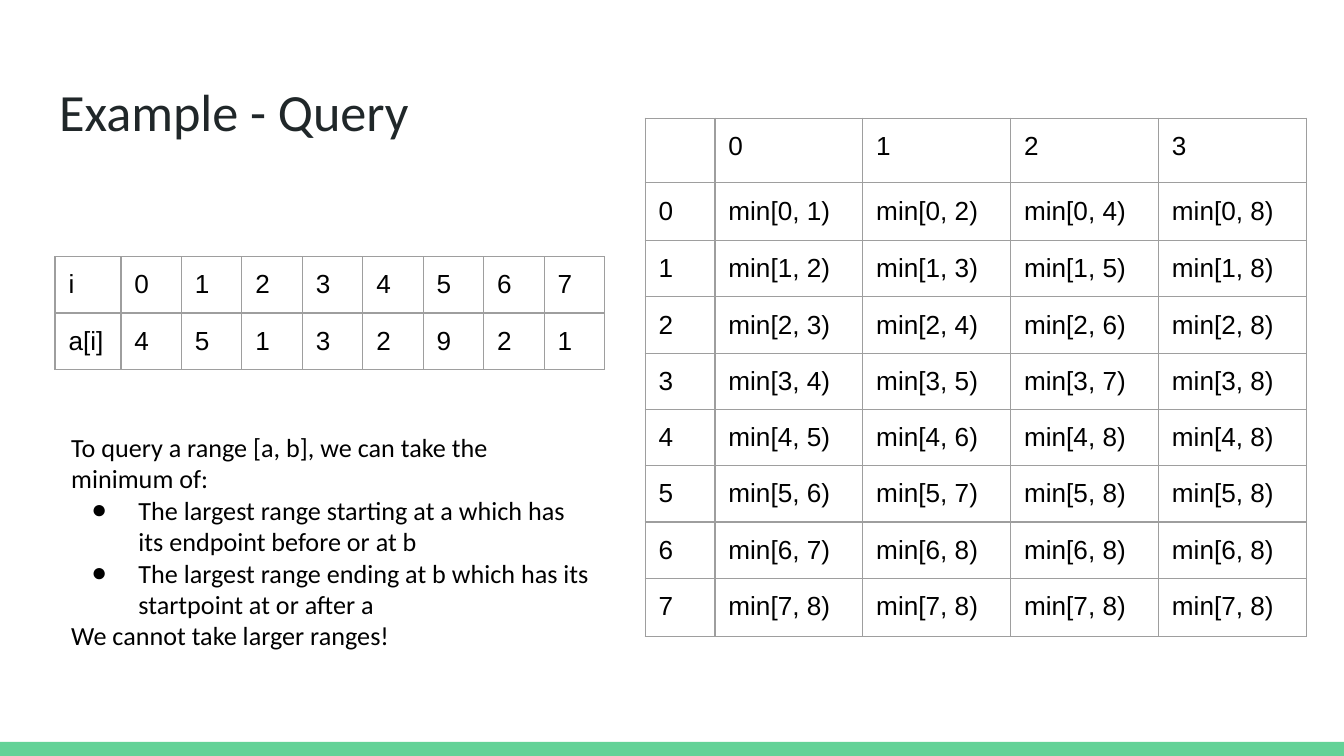
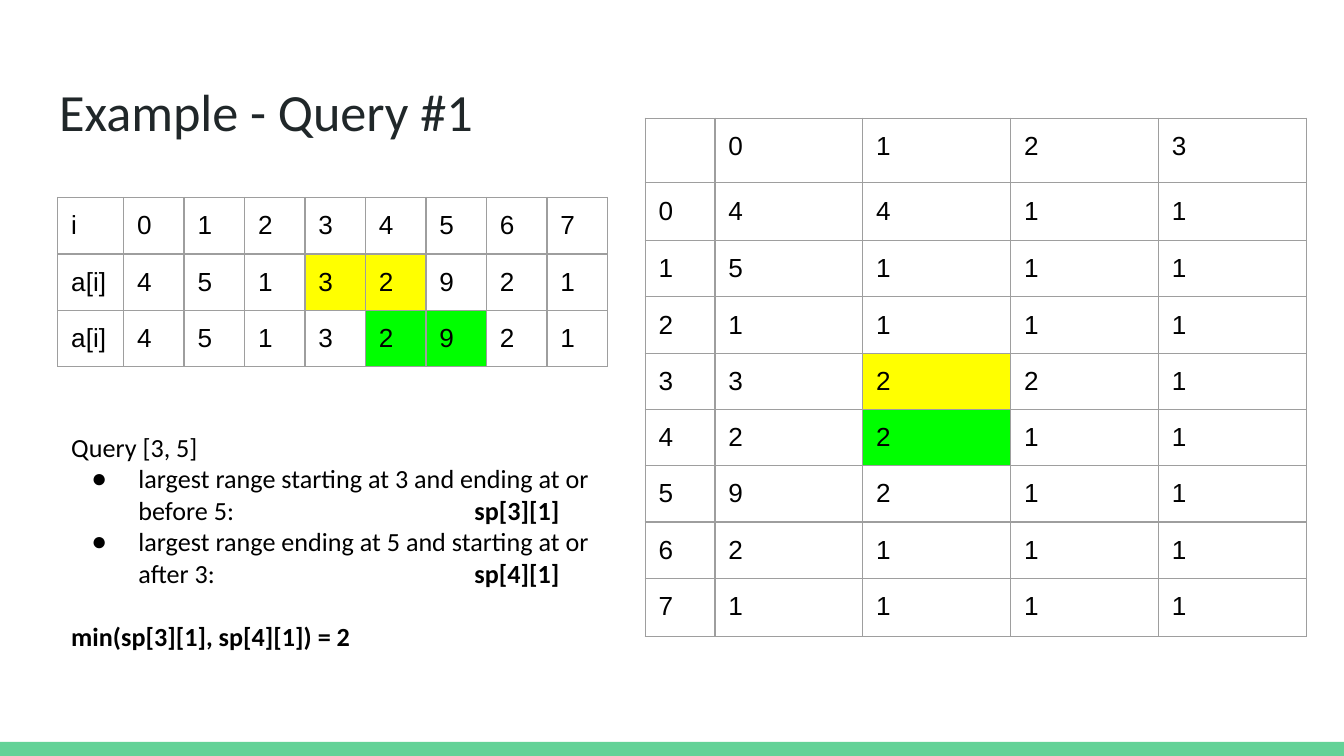
from lxml.etree import SubElement
from pptx import Presentation
from pptx.dml.color import RGBColor
from pptx.enum.shapes import MSO_SHAPE
from pptx.enum.text import MSO_ANCHOR, MSO_AUTO_SIZE, PP_ALIGN
from pptx.oxml.ns import qn
from pptx.util import Inches, Pt

BLACK = RGBColor(0x00, 0x00, 0x00)
INK = RGBColor(0x20, 0x27, 0x29)
BAND = RGBColor(0x63, 0xD2, 0x97)
GRID = RGBColor(0x9E, 0x9E, 0x9E)
YELLOW = RGBColor(0xFF, 0xFF, 0x00)
GREEN = RGBColor(0x00, 0xFF, 0x00)

DATA = [4, 5, 1, 3, 2, 9, 2, 1]
SIZE = len(DATA)
LEVELS = range(4)
INDEX = ["i", *range(SIZE)]
VALUES = ["a[i]", *DATA]


def style(font, name, size, color):
    font.name = name
    font.size = Pt(size)
    font.color.rgb = color


def place(shape, left, top, width, height):
    shape.left, shape.top = Inches(left), Inches(top)
    shape.width, shape.height = Inches(width), Inches(height)
    frame = shape.text_frame
    frame.margin_left = frame.margin_right = Inches(0.1)
    frame.margin_top = frame.margin_bottom = Inches(0.1)
    frame.vertical_anchor = MSO_ANCHOR.TOP
    frame.auto_size = MSO_AUTO_SIZE.NONE
    frame.word_wrap = True
    return frame


def add_band(slide, layout):
    """Draw the footer band and move it to the layout, for all slides."""
    band = slide.shapes.add_shape(MSO_SHAPE.RECTANGLE, 0, Inches(5.52),
                                  Inches(10), Inches(0.11))
    band.shadow.inherit = False
    band.fill.solid()
    band.fill.fore_color.rgb = BAND
    band.line.fill.background()
    layout.shapes.element.append(band.element)


def add_title(slide, text):
    frame = place(slide.shapes.title, 0.34, 0.49, 9.32, 0.63)
    frame.text = text
    para = frame.paragraphs[0]
    para.alignment = PP_ALIGN.LEFT
    style(para.font, "Calibri", 28, INK)


def set_bullet(para, on):
    props = para._p.get_or_add_pPr()
    props.set("marL", str(Inches(0.5 if on else 0)))
    props.set("indent", str(Inches(-0.35 if on else 0)))
    if on:
        color = SubElement(props, qn("a:buClr"))
        SubElement(color, qn("a:srgbClr"), val=str(BLACK))
        SubElement(props, qn("a:buChar"), char="●")
    else:
        SubElement(props, qn("a:buNone"))


def add_tab(para, pos):
    tabs = SubElement(para._p.get_or_add_pPr(), qn("a:tabLst"))
    SubElement(tabs, qn("a:tab"), pos=str(Inches(pos)), algn="l")


def add_body(slide, lines):
    """Each line is (bulleted, plain text, bold text, points before)."""
    frame = place(slide.placeholders[1], 0.43, 3.11, 4.07, 1.85)
    for num, (bullet, plain, bold, gap) in enumerate(lines):
        para = frame.add_paragraph() if num else frame.paragraphs[0]
        set_bullet(para, bullet)
        if "\t" in plain:
            add_tab(para, 3)
        para.space_before = Pt(gap)
        style(para.font, "Calibri", 14, BLACK)
        if plain:
            para.add_run().text = plain
        if bold:
            run = para.add_run()
            run.text = bold
            run.font.bold = True


def set_border(cell):
    props = cell._tc.get_or_add_tcPr()
    for side in ("lnL", "lnR", "lnT", "lnB"):
        line = SubElement(props, qn("a:" + side), w=str(Pt(0.75)))
        fill = SubElement(line, qn("a:solidFill"))
        SubElement(fill, qn("a:srgbClr"), val=str(GRID))


def fill_cell(cell, text, color):
    cell.margin_left = cell.margin_right = Inches(0.1)
    cell.margin_top = cell.margin_bottom = Inches(0.1)
    set_border(cell)
    if color is None:
        cell.fill.background()
    else:
        cell.fill.solid()
        cell.fill.fore_color.rgb = color
    para = cell.text_frame.paragraphs[0]
    if text == "":
        end = SubElement(para._p, qn("a:endParaRPr"), sz="1800")
        SubElement(end, qn("a:latin"), typeface="Arial")
    else:
        para.text = str(text)
        style(para.font, "Arial", 14, BLACK)


def add_grid(slide, left, top, widths, heights, rows, marks):
    """Marks maps (row, column) to a fill colour."""
    frame = slide.shapes.add_table(
        len(heights), len(widths), Inches(left), Inches(top),
        Inches(sum(widths)), Inches(sum(heights)))
    table = frame.table
    table.first_row = table.horz_banding = False
    for col, width in zip(table.columns, widths):
        col.width = Inches(width)
    for row, height in zip(table.rows, heights):
        row.height = Inches(height)
    for y, row in enumerate(rows):
        for x, text in enumerate(row):
            fill_cell(table.cell(y, x), text, marks.get((y, x)))


def add_array(slide, left, top, rows, marks):
    add_grid(slide, left, top, [0.49] + [0.45] * SIZE,
             [0.42] * len(rows), rows, marks)


def add_sparse(slide, entry, marks):
    """Show entry(start, end) for each start and each power of two."""
    rows = [["", *LEVELS]]
    for start in range(SIZE):
        ends = [min(start + 2 ** level, SIZE) for level in LEVELS]
        rows.append([start, *(entry(start, end) for end in ends)])
    add_grid(slide, 4.8, 0.88, [0.52] + [1.1] * len(LEVELS),
             [0.43] * 2 + [0.35] * 6 + [0.43], rows, marks)


def range_name(start, end):
    return f"min[{start}, {end})"


def range_min(start, end):
    return min(DATA[start:end])


def main():
    deck = Presentation()
    deck.slide_width = Inches(10)
    deck.slide_height = deck.slide_width * 9 // 16
    layout = deck.slide_layouts[1]

    query = deck.slides.add_slide(layout)
    add_band(query, layout)
    add_title(query, "Example - Query")
    add_sparse(query, range_name, {})
    add_array(query, 0.41, 1.91, [INDEX, VALUES], {})
    add_body(query, [
        (False, "To query a range [a, b], we can take the minimum of:", "", 0),
        (True, "The largest range starting at a which has its endpoint "
               "before or at b", "", 0),
        (True, "The largest range ending at b which has its startpoint "
               "at or after a", "", 0),
        (False, "We cannot take larger ranges!", "", 0),
    ])

    first = deck.slides.add_slide(layout)
    add_title(first, "Example - Query #1")
    add_body(first, [
        (False, "Query [3, 5]", "", 0),
        (True, "largest range starting at 3 and ending at or before 5: \t",
         "sp[3][1]", 0),
        (True, "largest range ending at 5 and starting at or after 3: \t",
         "sp[4][1]", 0),
        (False, "", "min(sp[3][1], sp[4][1]) = 2", 17),
    ])
    add_sparse(first, range_min, {(4, 2): YELLOW, (5, 2): GREEN})
    add_array(first, 0.43, 1.47, [INDEX, VALUES, VALUES],
              {(1, 4): YELLOW, (1, 5): YELLOW, (2, 5): GREEN, (2, 6): GREEN})

    deck.save("out.pptx")


if __name__ == "__main__":
    main()
